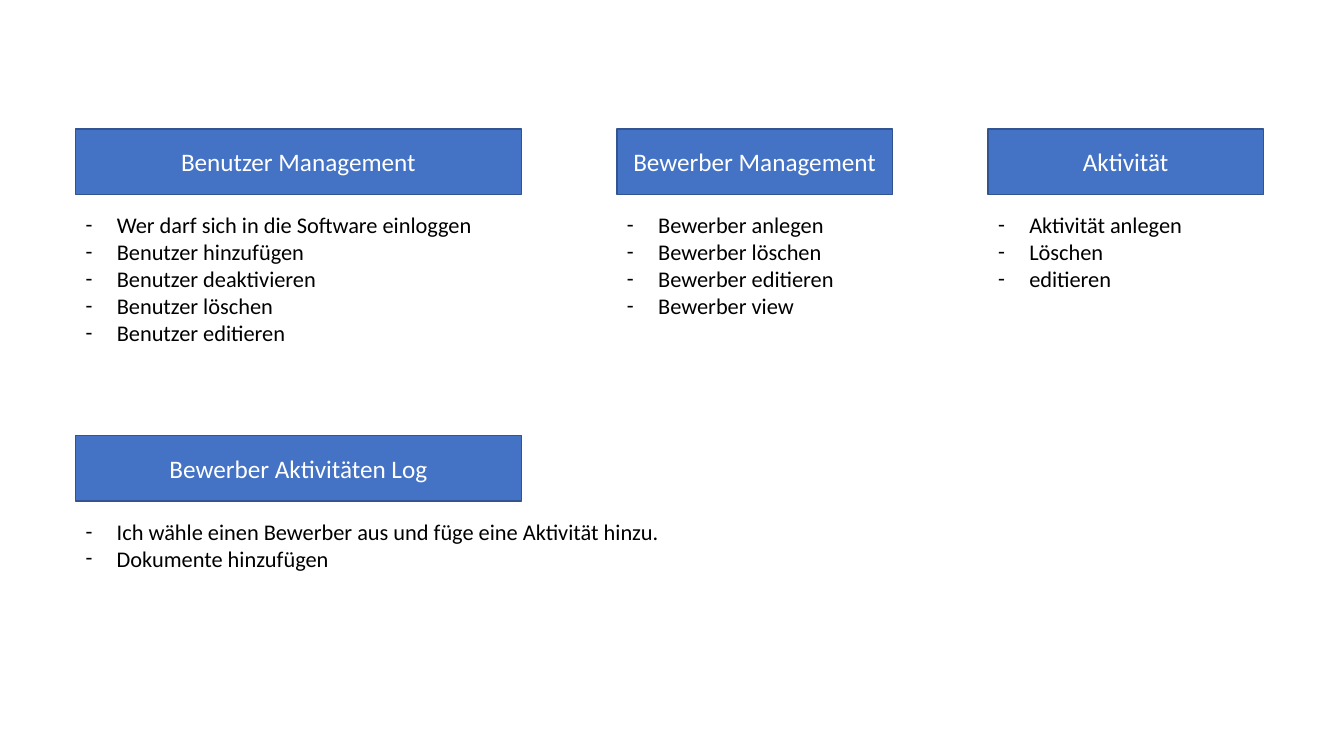
from lxml.etree import SubElement
from pptx import Presentation
from pptx.dml.color import RGBColor
from pptx.enum.shapes import MSO_SHAPE
from pptx.enum.text import MSO_ANCHOR, MSO_AUTO_SIZE, PP_ALIGN
from pptx.oxml.ns import qn
from pptx.util import Inches, Pt

COLORS = {"header": "4472C4", "border": "325491", "header_text": "FFFFFF", "text": "000000"}
FONT = "Calibri"
HEADER_HEIGHT = 0.65
LIST_OFFSET = 0.77
LINE_HEIGHT = 0.27
LIST_PADDING = 0.1
INDENT = Inches(0.31)

MODULES = [
    ("Benutzer Management", 0.75, 1.28, 4.42, 4.09, [
        "Wer darf sich in die Software einloggen",
        "Benutzer hinzufügen",
        "Benutzer deaktivieren",
        "Benutzer löschen",
        "Benutzer editieren",
    ]),
    ("Bewerber Management", 6.12, 1.28, 2.73, 2.29, [
        "Bewerber anlegen",
        "Bewerber löschen",
        "Bewerber editieren",
        "Bewerber view",
    ]),
    ("Aktivität", 9.8, 1.28, 2.73, 2.05, [
        "Aktivität anlegen",
        "Löschen",
        "editieren",
    ]),
    ("Bewerber Aktivitäten Log", 0.75, 4.32, 4.42, 5.96, [
        "Ich wähle einen Bewerber aus und füge eine Aktivität hinzu.",
        "Dokumente hinzufügen",
    ]),
]


def color(name):
    return RGBColor.from_string(COLORS[name])


def format_paragraph(para, size, color_name):
    for span in para.runs:
        span.font.name = FONT
        span.font.size = Pt(size)
        span.font.color.rgb = color(color_name)


def add_dash(para):
    properties = para._p.get_or_add_pPr()
    properties.set("marL", str(INDENT))
    properties.set("indent", str(-INDENT))
    SubElement(properties, qn("a:buFont")).set("typeface", FONT)
    SubElement(properties, qn("a:buChar")).set("char", "-")


def add_header(page, title, left, top, width):
    box = page.shapes.add_shape(
        MSO_SHAPE.RECTANGLE, Inches(left), Inches(top), Inches(width), Inches(HEADER_HEIGHT)
    )
    box.shadow.inherit = False
    box.fill.solid()
    box.fill.fore_color.rgb = color("header")
    box.line.color.rgb = color("border")
    box.line.width = Pt(1)
    frame = box.text_frame
    frame.text = title
    frame.vertical_anchor = MSO_ANCHOR.MIDDLE
    para = frame.paragraphs[0]
    para.alignment = PP_ALIGN.CENTER
    format_paragraph(para, 18, "header_text")


def add_dash_list(page, items, left, top, width):
    height = LIST_PADDING + LINE_HEIGHT * len(items)
    box = page.shapes.add_textbox(Inches(left), Inches(top), Inches(width), Inches(height))
    frame = box.text_frame
    frame.word_wrap = False
    frame.auto_size = MSO_AUTO_SIZE.SHAPE_TO_FIT_TEXT
    frame.text = "\n".join(items)
    for para in frame.paragraphs:
        add_dash(para)
        format_paragraph(para, 16, "text")


def main():
    deck = Presentation()
    deck.slide_width = Inches(13.33)
    deck.slide_height = Inches(7.5)
    page = deck.slides.add_slide(deck.slide_layouts[6])
    for title, left, top, width, list_width, items in MODULES:
        add_header(page, title, left, top, width)
        add_dash_list(page, items, left, top + LIST_OFFSET, list_width)
    deck.save("out.pptx")


if __name__ == "__main__":
    main()
